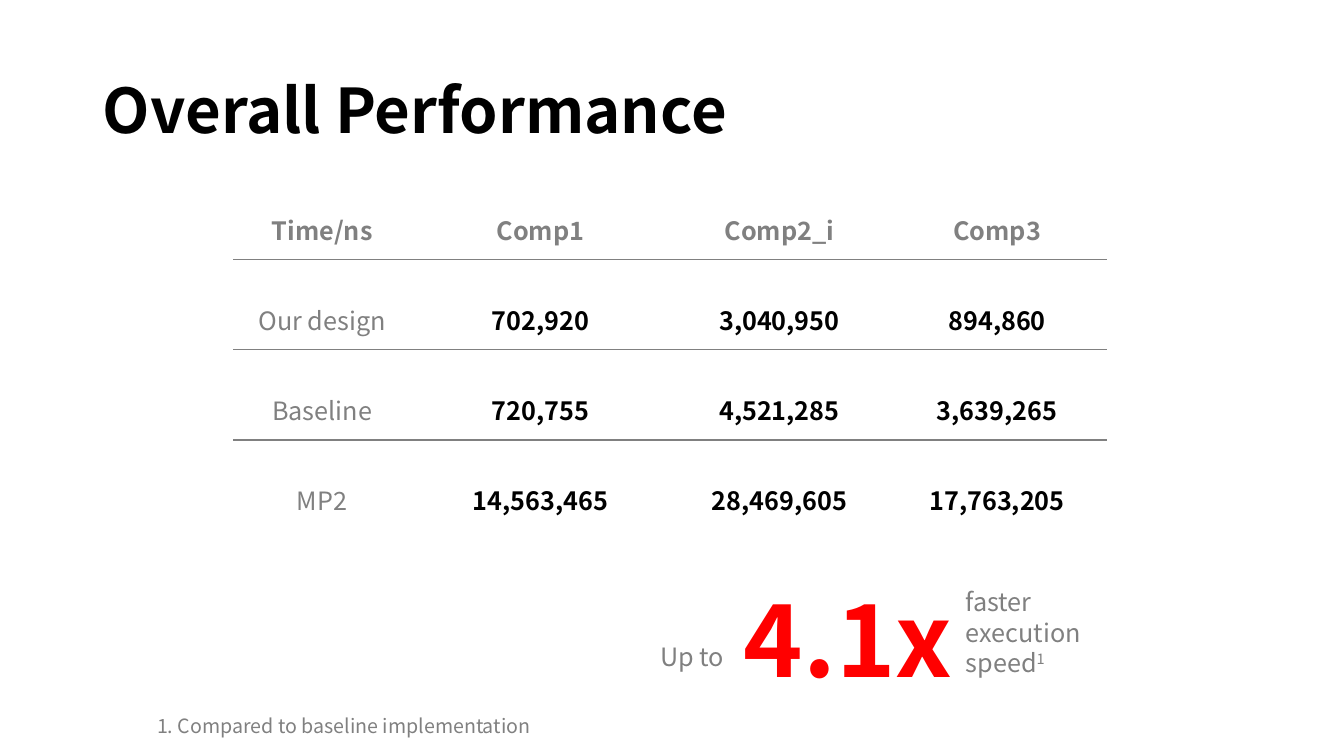
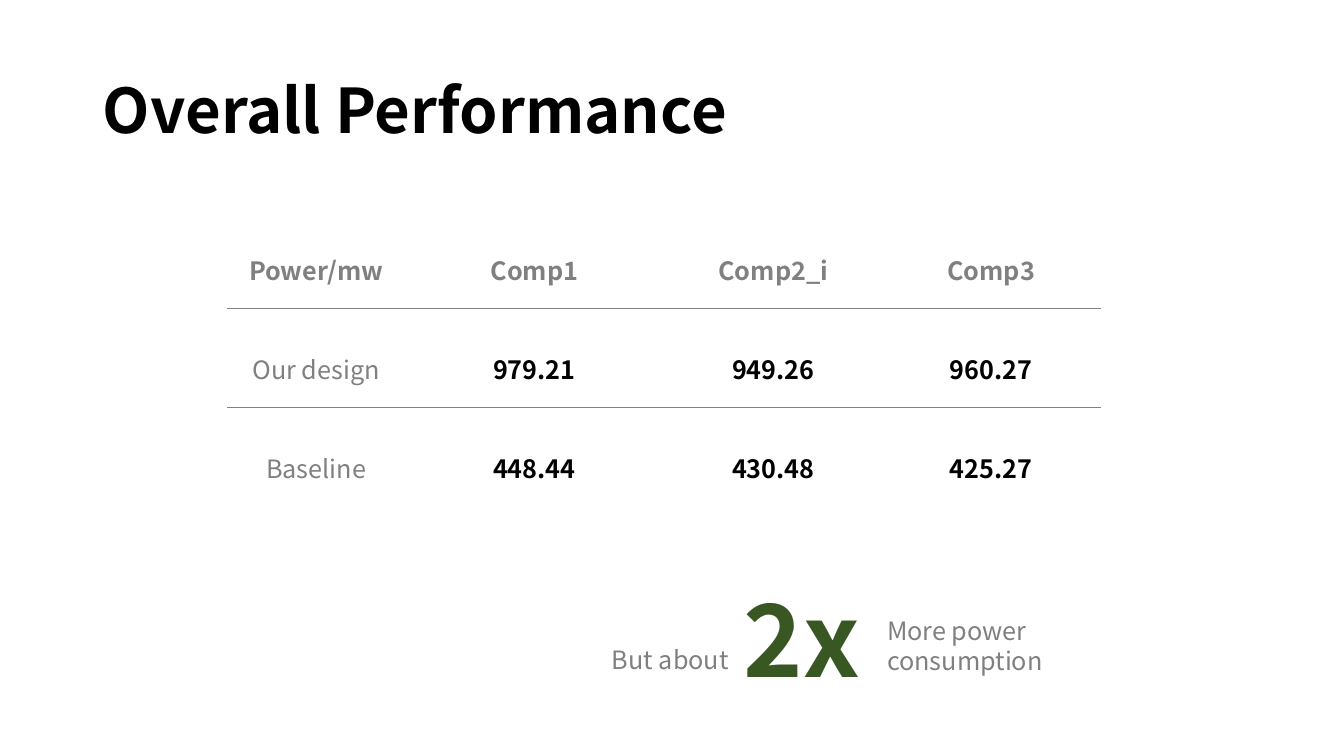
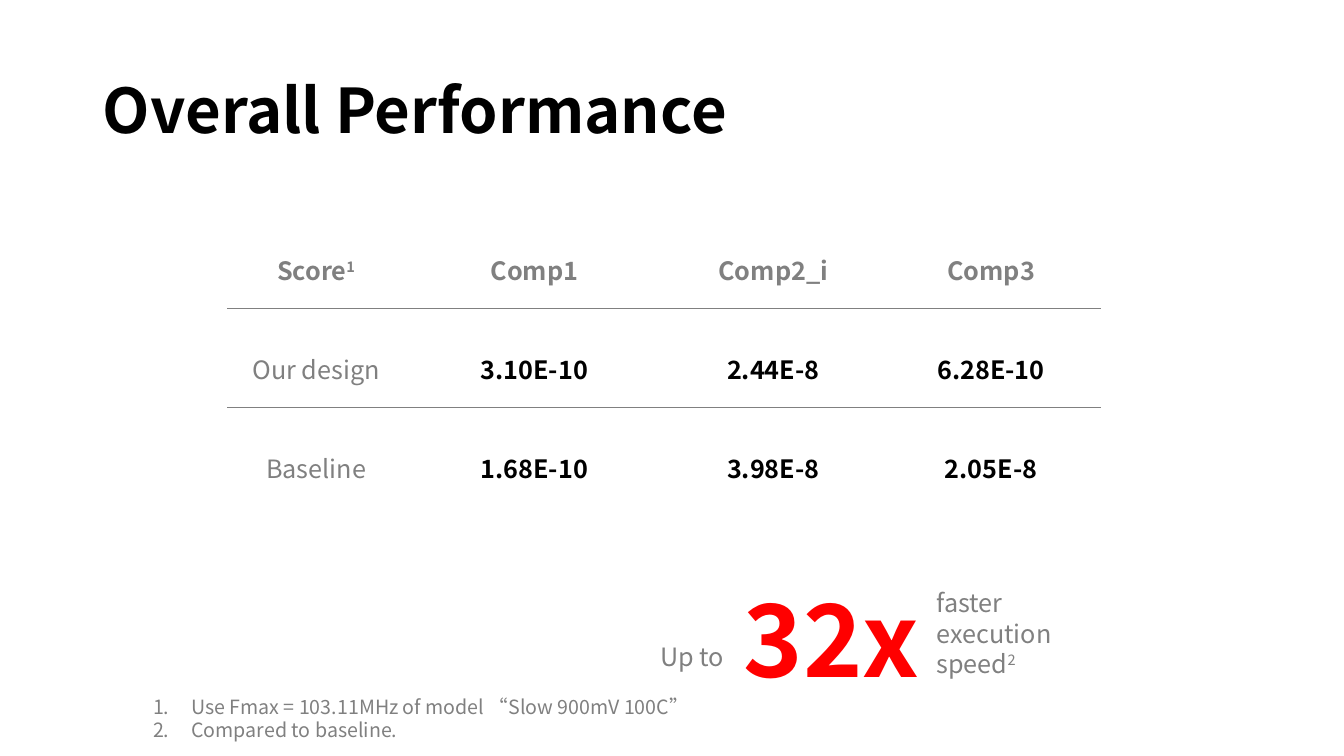
from dataclasses import dataclass
from typing import NamedTuple

from lxml import etree
from pptx import Presentation
from pptx.dml.color import RGBColor
from pptx.enum.text import MSO_ANCHOR, MSO_AUTO_SIZE, PP_ALIGN
from pptx.oxml.ns import qn
from pptx.util import Inches, Pt

LEFT = PP_ALIGN.LEFT
CENTER = PP_ALIGN.CENTER
MIDDLE = MSO_ANCHOR.MIDDLE
GROW = MSO_AUTO_SIZE.SHAPE_TO_FIT_TEXT

FONT = "Noto Sans CJK SC"
COLORS = {
    "black": "000000",
    "gray": "808080",
    "white": "FFFFFF",
    "red": "FF0000",
    "amber": "FFC000",
    "dark_green": "385723",
    "pale_green": "E2F0D9",
}
TITLE = "Overall Performance"
TITLE_ONLY_LAYOUT = 5
COLUMN_WIDTHS = (1.75, 2.58, 2.16, 2.16)
COMPONENTS = ("Comp1", "Comp2_i", "Comp3")
NOTE_INDENT = Inches(0.38)


class Box(NamedTuple):
    left: float
    top: float
    width: float
    height: float


class Label(NamedTuple):
    text: str
    superscript: str = ""


class Caption(NamedTuple):
    box: Box
    label: Label


class Notes(NamedTuple):
    box: Box
    lines: tuple[str, ...]
    numbered: bool = False


@dataclass(frozen=True)
class Result:
    """One slide: a measurement table and the headline factor below it."""
    measure: Label
    rows: tuple[tuple[str, ...], ...]
    table_box: Box
    factor: str
    gradient: tuple[str, str]
    before: Caption
    after: Caption
    notes: Notes | None = None


UP_TO = Caption(Box(6.45, 6.31, 1.06, 0.4), Label("Up to"))
FACTOR_BOX = Box(7.28, 5.67, 2.37, 1.31)
SHORT_TABLE_BOX = Box(2.26, 2.08, sum(COLUMN_WIDTHS), 2.95)

RESULTS = (
    Result(
        measure=Label("Time/ns"),
        rows=(
            ("Our design", "702,920", "3,040,950", "894,860"),
            ("Baseline", "720,755", "4,521,285", "3,639,265"),
            ("MP2", "14,563,465", "28,469,605", "17,763,205"),
        ),
        table_box=Box(2.32, 1.68, sum(COLUMN_WIDTHS), 3.58),
        factor="4.1x",
        gradient=("red", "amber"),
        before=UP_TO,
        after=Caption(Box(9.48, 5.77, 1.61, 1.01),
                      Label("faster execution speed", "1")),
        notes=Notes(Box(1.46, 7.03, 10.05, 0.34),
                    ("1. Compared to baseline implementation",)),
    ),
    Result(
        measure=Label("Power/mw"),
        rows=(
            ("Our design", "979.21", "949.26", "960.27"),
            ("Baseline", "448.44", "430.48", "425.27"),
        ),
        table_box=SHORT_TABLE_BOX,
        factor="2x",
        gradient=("dark_green", "pale_green"),
        before=Caption(Box(5.97, 6.34, 1.38, 0.4), Label("But about")),
        after=Caption(Box(8.7, 6.05, 1.77, 0.71),
                      Label("More power consumption")),
    ),
    Result(
        measure=Label("Score", "1"),
        rows=(
            ("Our design", "3.10E-10", "2.44E-8", "6.28E-10"),
            ("Baseline", "1.68E-10", "3.98E-8", "2.05E-8"),
        ),
        table_box=SHORT_TABLE_BOX,
        factor="32x",
        gradient=("red", "amber"),
        before=UP_TO,
        after=Caption(Box(9.19, 5.78, 1.61, 1.01),
                      Label("faster execution speed", "2")),
        notes=Notes(
            Box(1.42, 6.84, 10.05, 0.57),
            ("Use Fmax = 103.11MHz of model “Slow 900mV 100C”",
             "Compared to baseline."),
            numbered=True,
        ),
    ),
)


def rgb(name: str) -> RGBColor:
    return RGBColor.from_string(COLORS[name])


def write(paragraph, label: Label, size: float, color: str = "gray",
          bold: bool = False) -> None:
    paragraph.add_run().text = label.text
    if label.superscript:
        run = paragraph.add_run()
        run.text = label.superscript
        run._r.get_or_add_rPr().set("baseline", "30000")
    font = paragraph.font
    font.name, font.size, font.bold = FONT, Pt(size), bold
    font.color.rgb = rgb(color)


def add_title(slide) -> None:
    title = slide.shapes.title
    title.left, title.top = Inches(0.92), Inches(0.4)
    title.width, title.height = Inches(11.5), Inches(1.45)
    title.text_frame.vertical_anchor = MIDDLE
    paragraph = title.text_frame.paragraphs[0]
    paragraph.alignment = LEFT
    paragraph.line_spacing = 0.9
    write(paragraph, Label(TITLE), 44, "black", bold=True)


def add_text_frame(slide, box: Box):
    frame = slide.shapes.add_textbox(*map(Inches, box)).text_frame
    frame.word_wrap = True
    frame.auto_size = GROW
    return frame


def add_caption(slide, caption: Caption) -> None:
    frame = add_text_frame(slide, caption.box)
    write(frame.paragraphs[0], caption.label, 18)


def add_factor(slide, factor: str, gradient: tuple[str, str]) -> None:
    paragraph = add_text_frame(slide, FACTOR_BOX).paragraphs[0]
    write(paragraph, Label(factor), 72, gradient[0], bold=True)
    fill = paragraph.runs[0].font.fill
    fill.gradient()
    fill.gradient_angle = 315
    for stop, color, position in zip(fill.gradient_stops, gradient, (0, 0.97)):
        stop.color.rgb = rgb(color)
        stop.position = position


def number_paragraph(paragraph) -> None:
    properties = paragraph._p.get_or_add_pPr()
    properties.set("marL", str(NOTE_INDENT))
    properties.set("indent", str(-NOTE_INDENT))
    numbering = etree.Element(qn("a:buAutoNum"), type="arabicPeriod")
    properties.insert(0, numbering)


def add_notes(slide, notes: Notes) -> None:
    frame = add_text_frame(slide, notes.box)
    for index, line in enumerate(notes.lines):
        paragraph = frame.add_paragraph() if index else frame.paragraphs[0]
        write(paragraph, Label(line), 14)
        if notes.numbered:
            number_paragraph(paragraph)


def add_border(cell, side: str, color: str) -> None:
    """Draw a 1 pt border; call before filling, top before bottom."""
    properties = cell._tc.get_or_add_tcPr()
    line = etree.SubElement(properties, qn(f"a:{side}"), w=str(Pt(1)))
    fill = etree.SubElement(line, qn("a:solidFill"))
    etree.SubElement(fill, qn("a:srgbClr"), val=COLORS[color])


def add_result_table(slide, result: Result) -> None:
    header = (result.measure, *map(Label, COMPONENTS))
    rows = (header, *(tuple(map(Label, row)) for row in result.rows))
    table = slide.shapes.add_table(
        len(rows), len(header), *map(Inches, result.table_box)).table
    for column, width in zip(table.columns, COLUMN_WIDTHS):
        column.width = Inches(width)
    last_row = len(rows) - 1
    for row_index, row in enumerate(rows):
        for column_index, label in enumerate(row):
            is_header, is_name = row_index == 0, column_index == 0
            cell = table.cell(row_index, column_index)
            add_border(cell, "lnT", "white" if is_header else "gray")
            add_border(cell, "lnB", "white" if row_index == last_row else "gray")
            cell.fill.solid()
            cell.fill.fore_color.rgb = rgb("white")
            paragraph = cell.text_frame.paragraphs[0]
            paragraph.alignment = CENTER
            paragraph.line_spacing = 2.0
            write(paragraph, label, 18,
                  "gray" if is_header or is_name else "black",
                  bold=is_header or not is_name)


def add_result_slide(presentation, result: Result) -> None:
    layout = presentation.slide_layouts[TITLE_ONLY_LAYOUT]
    slide = presentation.slides.add_slide(layout)
    add_title(slide)
    add_result_table(slide, result)
    add_factor(slide, result.factor, result.gradient)
    add_caption(slide, result.before)
    add_caption(slide, result.after)
    if result.notes:
        add_notes(slide, result.notes)


def main() -> None:
    presentation = Presentation()
    presentation.slide_width = Inches(13.33)
    presentation.slide_height = Inches(7.5)
    for result in RESULTS:
        add_result_slide(presentation, result)
    presentation.save("out.pptx")


if __name__ == "__main__":
    main()
